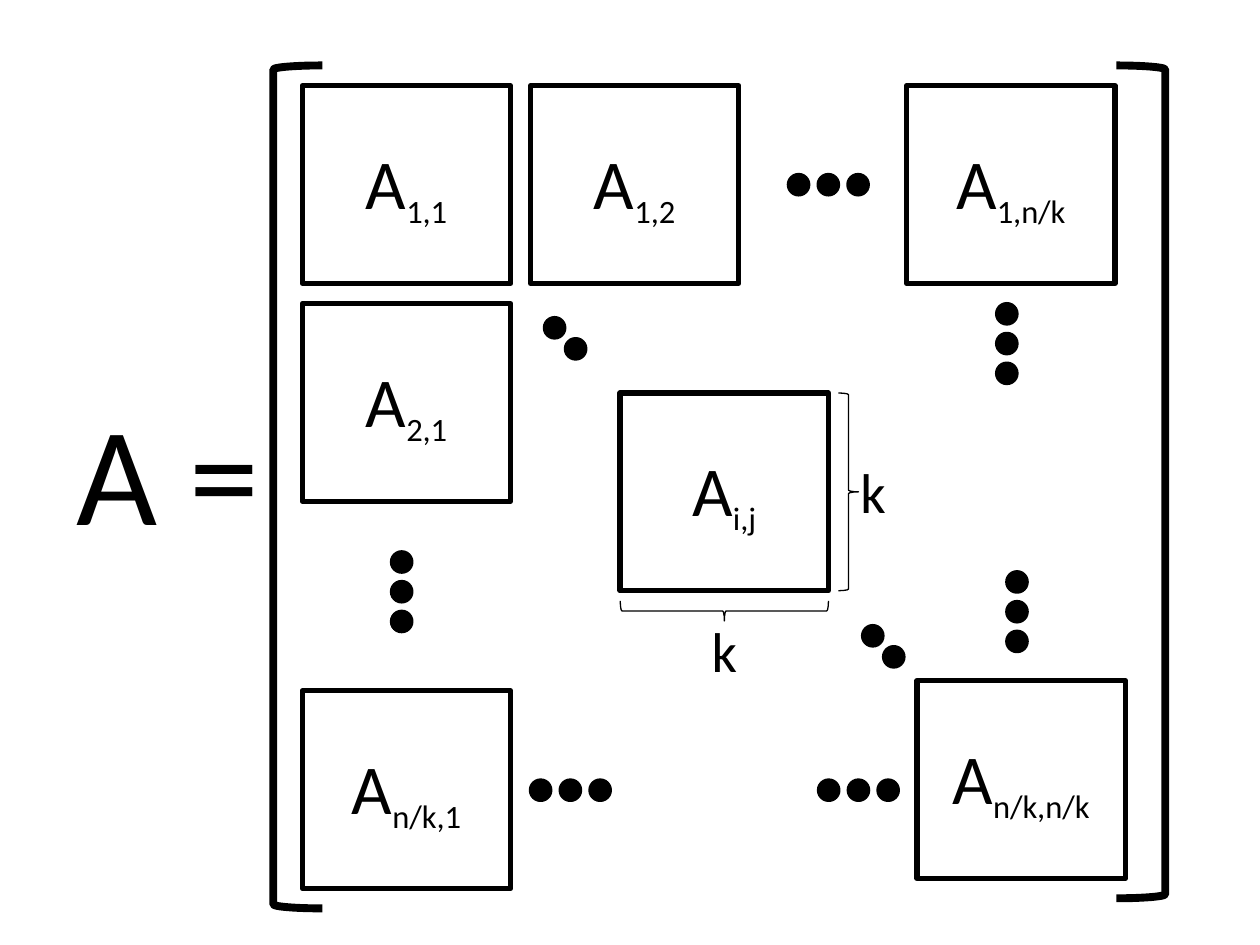
from dataclasses import dataclass

from pptx import Presentation
from pptx.dml.color import RGBColor
from pptx.enum import shapes, text
from pptx.util import Pt


@dataclass(frozen=True)
class Theme:
    ink: RGBColor = RGBColor(0, 0, 0)
    paper: RGBColor = RGBColor(255, 255, 255)
    font: str = "Calibri"
    equation_size: float = 80
    block_size: float = 40
    small_size: float = 32
    bracket_line: float = 4.5
    block_line: float = 3
    dot_line: float = 2
    brace_line: float = 0.75


BLOCK_WIDTH, BLOCK_HEIGHT = 119, 113
BRACKET_WIDTH = 28
BRACE_DEPTH = 11.5
DOT = 11.5
STEP = 17
DIAGONAL_STEP = 12

LEFT, TOP = 172.8, 49
CENTRE_LEFT, CENTRE_TOP = 354.4, 224.6
BLOCKS = [
    (LEFT, TOP, "1,1"),
    (303.2, TOP, "1,2"),
    (LEFT, 173.5, "2,1"),
    (LEFT, 394.8, "n/k,1"),
    (518.2, TOP, "1,n/k"),
    (524, 389, "n/k,n/k"),
    (CENTRE_LEFT, CENTRE_TOP, "i,j"),
]
# Left and top of the first dot, number of dots, step across, step down
DOT_RUNS = [
    (223.8, 315.4, 3, 0, STEP),
    (575.4, 326.8, 3, 0, STEP),
    (569.6, 173.6, 3, 0, STEP),
    (450.6, 99.8, 3, STEP, 0),
    (467.8, 445.8, 3, STEP, 0),
    (303.2, 445.8, 3, STEP, 0),
    (311.2, 181.6, 2, DIAGONAL_STEP, DIAGONAL_STEP),
    (493, 357.6, 2, DIAGONAL_STEP, DIAGONAL_STEP),
]


def add_span(para, words, *, size, font, color, baseline=None):
    """Append a run; baseline is a percentage, negative for a subscript."""
    span = para.add_run()
    span.text = words
    span.font.size = Pt(size)
    span.font.name = font
    span.font.color.rgb = color
    if baseline is not None:
        span._r.get_or_add_rPr().set("baseline", str(baseline * 1000))


class Page:
    def __init__(self, slide, theme):
        self.slide = slide
        self.theme = theme

    def span(self, para, words, size, **options):
        add_span(para, words, size=size, font=self.theme.font,
                 color=self.theme.ink, **options)

    def shape(self, kind, left, top, width, height, *, line,
              fill=None, turn=0, parent=None):
        owner = parent or self.slide
        shape = owner.shapes.add_shape(
            kind, Pt(left), Pt(top), Pt(width), Pt(height))
        shape.shadow.inherit = False
        shape.rotation = turn
        shape.line.color.rgb = self.theme.ink
        shape.line.width = Pt(line)
        if fill is None:
            shape.fill.background()
        else:
            shape.fill.solid()
            shape.fill.fore_color.rgb = fill
        return shape

    def bracket(self, left, top, height, turn=0):
        self.shape(shapes.MSO_SHAPE.LEFT_BRACKET, left, top, BRACKET_WIDTH,
                   height, line=self.theme.bracket_line, turn=turn)

    def block(self, left, top, index):
        box = self.shape(shapes.MSO_SHAPE.RECTANGLE, left, top, BLOCK_WIDTH,
                         BLOCK_HEIGHT, line=self.theme.block_line,
                         fill=self.theme.paper)
        box.text_frame.vertical_anchor = text.MSO_ANCHOR.MIDDLE
        para = box.text_frame.paragraphs[0]
        para.alignment = text.PP_ALIGN.CENTER
        self.span(para, "A", self.theme.block_size)
        self.span(para, index, self.theme.small_size, baseline=-25)

    def dots(self, left, top, count, across, down):
        group = self.slide.shapes.add_group_shape()
        for number in range(count):
            self.shape(shapes.MSO_SHAPE.FLOWCHART_CONNECTOR,
                       left + number * across, top + number * down, DOT, DOT,
                       line=self.theme.dot_line, fill=self.theme.ink,
                       parent=group)

    def brace(self, centre_x, centre_y, length, turn=0):
        self.shape(shapes.MSO_SHAPE.RIGHT_BRACE, centre_x - BRACE_DEPTH / 2,
                   centre_y - length / 2, BRACE_DEPTH, length,
                   line=self.theme.brace_line, turn=turn)

    def label(self, words, left, top, width, height, size):
        box = self.slide.shapes.add_textbox(
            Pt(left), Pt(top), Pt(width), Pt(height))
        box.text_frame.word_wrap = False
        box.text_frame.auto_size = text.MSO_AUTO_SIZE.SHAPE_TO_FIT_TEXT
        self.span(box.text_frame.paragraphs[0], words, size)


def main():
    deck = Presentation()
    deck.slide_width, deck.slide_height = Pt(720), Pt(540)
    theme = Theme()
    page = Page(deck.slides.add_slide(deck.slide_layouts[6]), theme)

    page.label("A =", 36.7, 216.7, 119.5, 104.4, theme.equation_size)
    page.bracket(156.2, 37.4, 481.7)
    page.bracket(637.9, 37.4, 475.9, turn=180)
    for block in BLOCKS:
        page.block(*block)
    for run in DOT_RUNS:
        page.dots(*run)

    middle_x = CENTRE_LEFT + BLOCK_WIDTH / 2
    middle_y = CENTRE_TOP + BLOCK_HEIGHT / 2
    gap = 11.5
    page.brace(CENTRE_LEFT + BLOCK_WIDTH + gap, middle_y, BLOCK_HEIGHT)
    page.brace(middle_x, CENTRE_TOP + BLOCK_HEIGHT + gap, BLOCK_WIDTH, turn=90)
    for left, top in [(484.6, 257.8), (399.6, 348.5)]:
        page.label("k", left, top, 30.2, 46, theme.small_size)

    deck.save("out.pptx")


if __name__ == "__main__":
    main()
